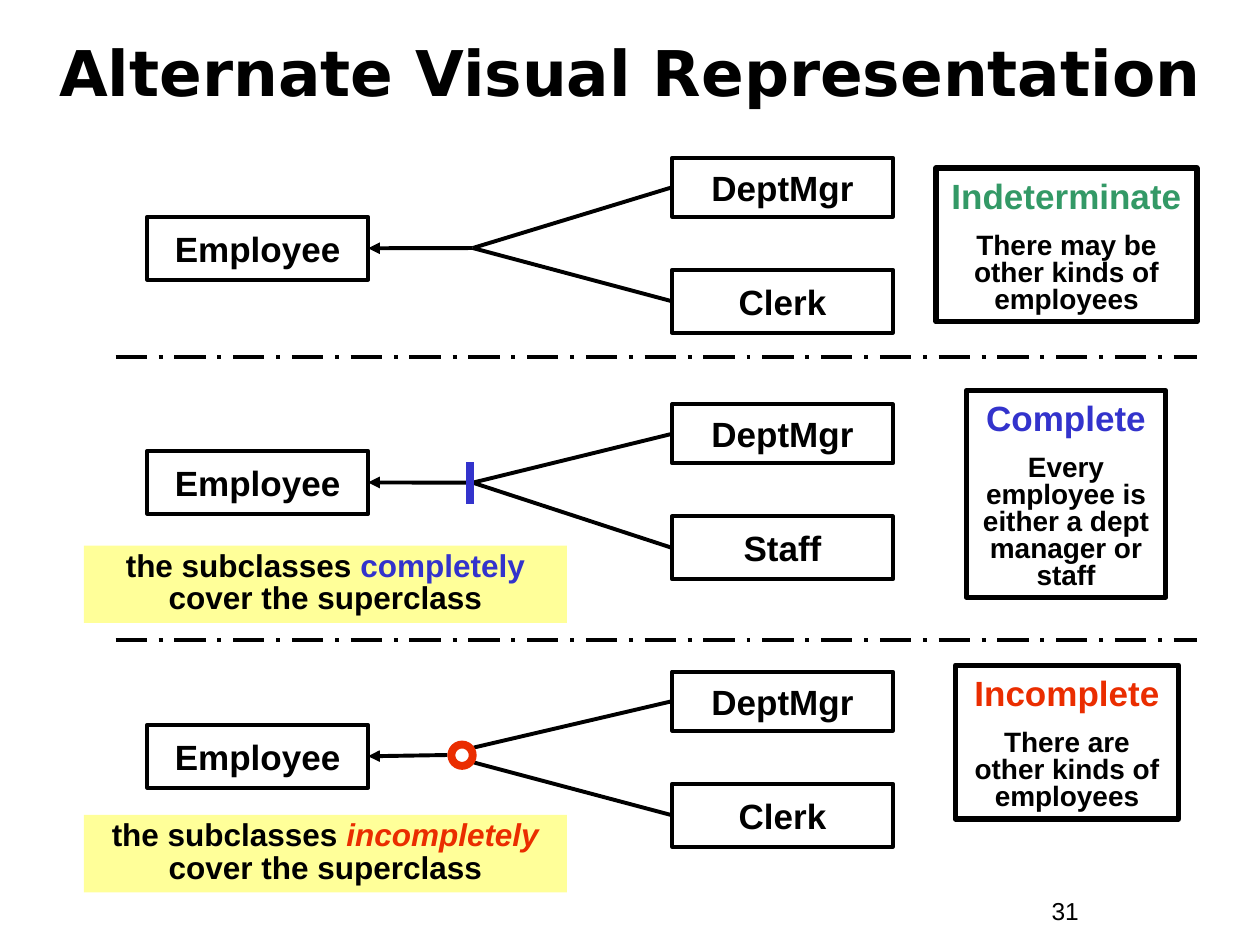
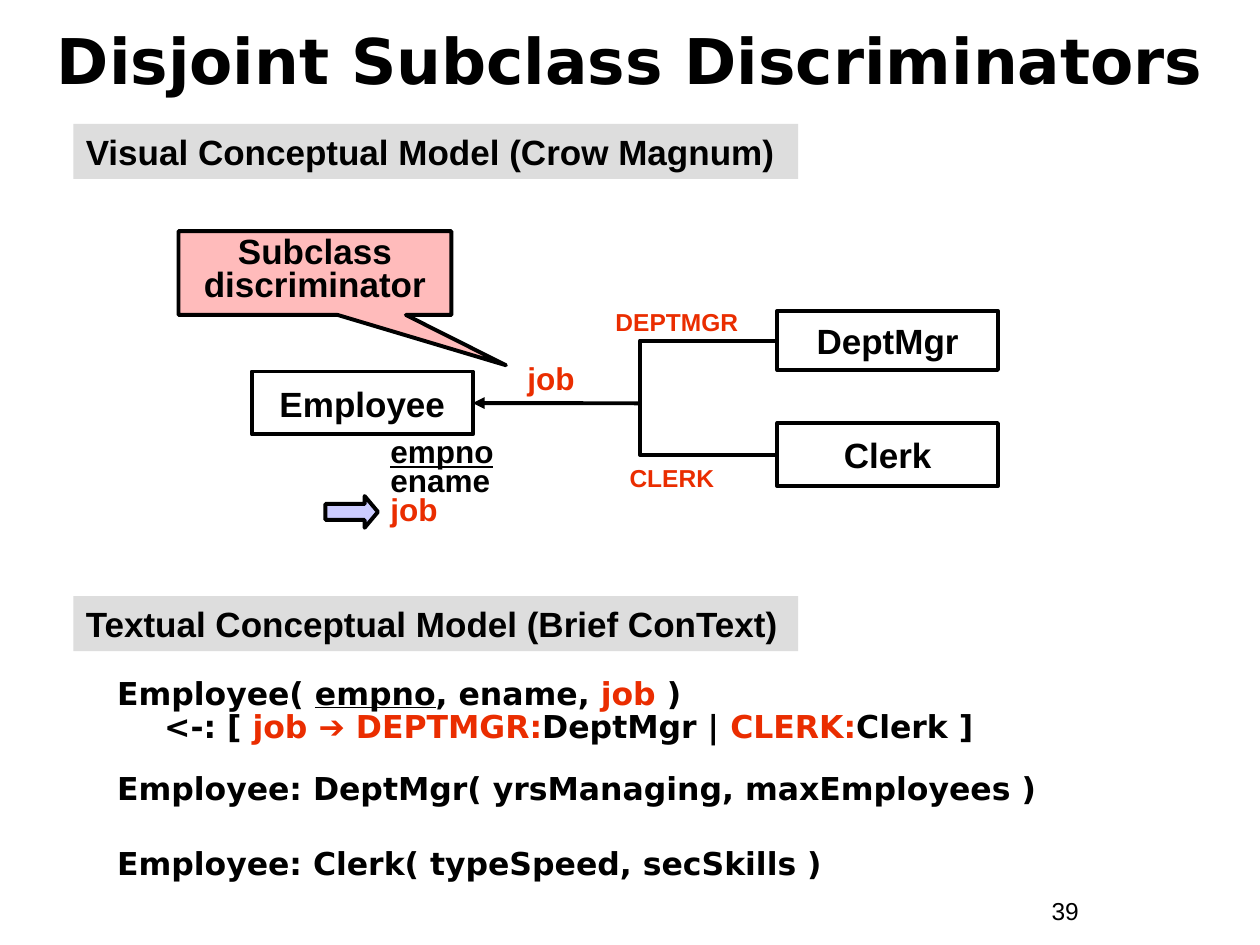
"""Build two slides on subclass notation: coverage variants and disjoint discriminators."""
import pptx
import pptx.dml.color
import pptx.enum.dml
import pptx.enum.shapes
import pptx.enum.text
import pptx.oxml.ns
import pptx.util
from lxml import etree

Cm = pptx.util.Cm
Pt = pptx.util.Pt
RGBColor = pptx.dml.color.RGBColor
MSO_SHAPE = pptx.enum.shapes.MSO_SHAPE
MSO_CONNECTOR = pptx.enum.shapes.MSO_CONNECTOR
ANCHOR = pptx.enum.text.MSO_ANCHOR
ALIGN = pptx.enum.text.PP_ALIGN
qn = pptx.oxml.ns.qn

BLACK = RGBColor(0x00, 0x00, 0x00)
RED = RGBColor(0xEA, 0x2D, 0x00)
BLUE = RGBColor(0x33, 0x33, 0xCC)
GREEN = RGBColor(0x33, 0x99, 0x66)
YELLOW = RGBColor(0xFF, 0xFF, 0x99)
PINK = RGBColor(0xFF, 0xBB, 0xBB)
LILAC = RGBColor(0xCC, 0xCC, 0xFF)
GREY = RGBColor(0xDD, 0xDD, 0xDD)

RECT = MSO_SHAPE.RECTANGLE
BODY_FONT = "Arial"
TITLE_FONT = "DejaVu Sans"
LINE = 2.25
BOX_W, SUPER_H, SUB_H = 4.45, 1.27, 1.19
SUB_STEP = 2.26


def add_box(slide, kind, at, paras=(), fill=None, color=BLACK, width=0,
            align=ALIGN.CENTER, anchor=ANCHOR.TOP, font=BODY_FONT, bold=True):
    """Add a shape, or a text box if kind is None; paras hold size, spacing, before, runs."""
    place = [Cm(v) for v in at]
    if kind is None:
        sp = slide.shapes.add_textbox(*place)
    else:
        sp = slide.shapes.add_shape(kind, *place)
        sp.shadow.inherit = False
        if fill is None:
            sp.fill.background()
        else:
            sp.fill.solid()
            sp.fill.fore_color.rgb = fill
        if width:
            sp.line.color.rgb = color
            sp.line.width = Pt(width)
        else:
            sp.line.fill.background()
    tf = sp.text_frame
    tf.word_wrap = True
    tf.vertical_anchor = anchor
    for i, (size, spacing, before, runs) in enumerate(paras):
        p = tf.add_paragraph() if i else tf.paragraphs[0]
        p.alignment = align
        p.line_spacing = spacing
        p.space_before = Pt(before)
        p.font.name, p.font.size, p.font.bold = font, Pt(size), bold
        p.font.color.rgb = BLACK
        for text, rgb, style in runs:
            if text == "\n":
                p.add_line_break()
                continue
            r = p.add_run()
            r.text = text
            if rgb != BLACK:
                r.font.color.rgb = rgb
            for key, value in style.items():
                setattr(r.font, key, value)
    return sp


def add_line(slide, x1, y1, x2, y2, color=BLACK, width=LINE, arrow=False,
             kind=MSO_CONNECTOR.STRAIGHT):
    """Add a connector, with an arrowhead at its start if arrow is set."""
    cx = slide.shapes.add_connector(kind, Cm(x1), Cm(y1), Cm(x2), Cm(y2))
    cx.line.color.rgb = color
    cx.line.width = Pt(width)
    if arrow:
        etree.SubElement(cx.line._get_or_add_ln(), qn("a:headEnd"), type="triangle")
    etree.SubElement(cx._element.spPr, qn("a:effectLst"))
    return cx


prs = pptx.Presentation()
prs.slide_width, prs.slide_height = Cm(25.4), Cm(19.05)

slides = []
for title, top, height, spacing, number in (
    ("Alternate Visual Representation", 0.71, 1.7, 0.85, "31"),
    ("Disjoint Subclass Discriminators", 0.25, 1.9, 1.0, "39"),
):
    slide = prs.slides.add_slide(prs.slide_layouts[5])
    sp = slide.shapes.title
    sp.left, sp.top, sp.width, sp.height = Cm(0.85), Cm(top), Cm(23.7), Cm(height)
    tf = sp.text_frame
    tf.text = title
    tf.auto_size = pptx.enum.text.MSO_AUTO_SIZE.NONE
    tf.vertical_anchor = ANCHOR.MIDDLE
    p = tf.paragraphs[0]
    p.alignment = ALIGN.CENTER
    p.line_spacing = spacing
    p.font.name, p.font.size, p.font.bold = TITLE_FONT, Pt(36), True
    p.font.color.rgb = BLACK
    add_box(slide, None, (20.95, 17.93, 2.35, 0.86),
            [(14, 1.0, 0, [(number, BLACK, {})])], align=ALIGN.LEFT, bold=False)
    slides.append(slide)

variants, discriminators = slides

diagrams = []
for slide, super_x, super_y, sub_x, sub_y, second in (
    (variants, 2.97, 4.37, 13.55, 3.18, "Clerk"),
    (variants, 2.97, 9.09, 13.55, 8.15, "Staff"),
    (variants, 2.97, 14.61, 13.55, 13.54, "Clerk"),
    (discriminators, 5.08, 7.49, 15.67, 6.27, "Clerk"),
):
    diagrams.append([
        add_box(slide, RECT, (x, y, BOX_W, h), [(20, 1.0, 0, [(name, BLACK, {})])],
                width=LINE, anchor=ANCHOR.MIDDLE)
        for name, x, y, h in (
            ("Employee", super_x, super_y, SUPER_H),
            ("DeptMgr", sub_x, sub_y, SUB_H),
            (second, sub_x, sub_y + SUB_STEP, SUPER_H),
        )
    ])

for boxes, joint_y, arrow_x, fan_x, gap in zip(
        diagrams, (5.0, 9.73, 15.22), (9.53, 9.53, 9.02), (9.53, 9.53, 9.55), (0, 0, 0.15)):
    cx = add_line(variants, 7.42, joint_y, arrow_x, joint_y, arrow=True)
    cx.begin_connect(boxes[0], 3)
    for sub, side in zip(boxes[1:], (-1, 1)):
        cx = add_line(variants, fan_x, joint_y + side * gap, 13.55, joint_y)
        cx.end_connect(sub, 1)

add_line(variants, 9.47, 9.32, 9.47, 10.16, BLUE, 4.5)
add_box(variants, MSO_SHAPE.OVAL, (9.1, 15.01, 0.43, 0.43), color=RED, width=4.5)

for y in (7.19, 12.9):
    cx = add_line(variants, 2.33, y, 24.13, y)
    cx.line.dash_style = pptx.enum.dml.MSO_LINE.LONG_DASH_DOT

for heading, color, text, at in (
    ("Indeterminate", GREEN, "There may be other kinds of employees", (18.87, 3.39, 5.26, 3.1)),
    ("Complete", BLUE, "Every employee is either a dept manager or staff",
     (19.48, 7.87, 4.02, 4.17)),
    ("Incomplete", RED, "There are other kinds of employees", (19.26, 13.41, 4.5, 3.1)),
):
    add_box(variants, RECT, at, [(20, 1.0, 0, [(heading, color, {})]),
                                 (16, 0.8, 10, [(text, BLACK, {})])], width=3)

for y, word, color, style in ((11.0, "completely", BLUE, {}),
                              (16.43, "incompletely", RED, {"italic": True})):
    add_box(variants, RECT, (1.69, y, 9.74, 1.56),
            [(18, 0.85, 0, [("the subclasses ", BLACK, {}), (word, color, style),
                            (" cover the superclass", BLACK, {})])], fill=YELLOW)

for y, text in ((2.5, "Visual Conceptual Model (Crow Magnum)"),
                (12.02, "Textual Conceptual Model (Brief ConText)")):
    add_box(discriminators, RECT, (1.48, y, 14.61, 1.11),
            [(20, 1.0, 0, [(text, BLACK, {})])], fill=GREY, align=ALIGN.LEFT)

sp = add_box(discriminators, MSO_SHAPE.RECTANGULAR_CALLOUT, (3.6, 4.66, 5.5, 1.69),
             [(20, 0.8, 0, [("Subclass discriminator", BLACK, {})])], fill=PINK, width=LINE)
sp.adjustments[0], sp.adjustments[1] = 0.7, 1.1
sp = add_box(discriminators, MSO_SHAPE.RIGHT_ARROW, (6.56, 10.0, 1.06, 0.64),
             fill=LILAC, width=LINE)
sp.adjustments[1] = 0.42

for text, size, at in (("job", 18, (10.16, 7.27, 1.9, 0.87)),
                       ("DEPTMGR", 14, (11.95, 6.17, 3.39, 0.74)),
                       ("CLERK", 14, (11.85, 9.33, 3.39, 0.74))):
    add_box(discriminators, None, at, [(size, 0.8, 0, [(text, RED, {})])])

add_box(discriminators, None, (7.62, 8.67, 2.75, 2.08),
        [(18, 0.9, 0, [("empno", BLACK, {"underline": True})]),
         (18, 0.75, 0, [("ename", BLACK, {}), ("\n", BLACK, {}), ("job", RED, {})])],
        align=ALIGN.LEFT)

spine_x, spine_y = 12.9, 8.13
cx = add_line(discriminators, 9.53, spine_y, spine_x, spine_y, arrow=True)
cx.begin_connect(diagrams[3][0], 3)
for y in (6.87, 9.17):
    cx = add_line(discriminators, spine_x, spine_y, 15.67, y, kind=MSO_CONNECTOR.ELBOW)
    guides = cx._element.spPr.find(qn("a:prstGeom")).get_or_add_avLst()
    etree.SubElement(guides, qn("a:gd"), name="adj1", fmla="val 0")

sp = add_box(discriminators, None, (2.11, 13.59, 21.39, 4.01), [
    (18, 0.85, 0, [
        ("Employee( ", BLACK, {}), ("empno", BLACK, {"underline": True}),
        (", ename, ", BLACK, {}), ("job", RED, {}), (" )", BLACK, {}), ("\n", BLACK, {}),
        ("<-: [ ", BLACK, {}), ("job ", RED, {}), ("➔", RED, {"name": BODY_FONT}),
        (" DEPTMGR:", RED, {}), ("DeptMgr | ", BLACK, {}), ("CLERK:", RED, {}),
        ("Clerk ]", BLACK, {})]),
    (18, 0.85, 17, [("Employee: DeptMgr( yrsManaging, maxEmployees )", BLACK, {})]),
    (18, 0.85, 24.5, [("Employee: Clerk( typeSpeed, secSkills )", BLACK, {})]),
], align=ALIGN.LEFT, font=TITLE_FONT)
for p in sp.text_frame.paragraphs:
    pPr = p._p.get_or_add_pPr()
    pPr.set("marL", str(Cm(0.95)))
    pPr.set("indent", str(-Cm(0.95)))

prs.save("out.pptx")
